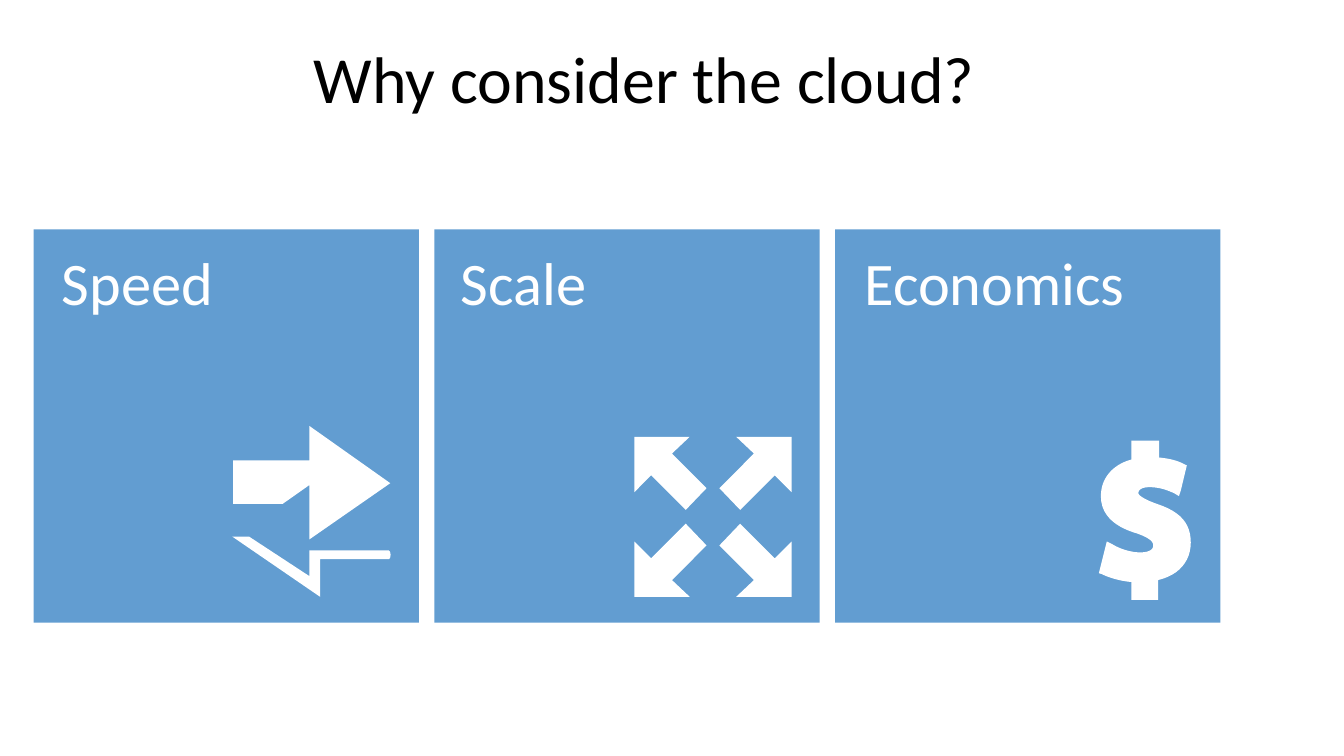
from itertools import product

from pptx import Presentation
from pptx.dml.color import RGBColor
from pptx.enum.shapes import MSO_SHAPE as Preset
from pptx.enum.text import MSO_ANCHOR as Anchor, MSO_AUTO_SIZE as AutoSize, PP_ALIGN as Align
from pptx.util import Inches, Pt

COLORS = {"tile": "629DD1", "white": "FFFFFF", "title": "000000"}
FONT = "Calibri"
CURVE_STEPS = 12

TILE_LEFT, TILE_TOP, TILE_WIDTH, TILE_HEIGHT = 0.34, 2.32, 3.9, 3.98
TILE_STEP = 8.11 / 2
LABELS = [("Speed", 1.82), ("Scale", 1.53), ("Economics", 2.95)]

RIGHT_ARROW = [
    (3.95, 4.89), (3.13, 4.31), (3.13, 4.66), (2.36, 4.66), (2.36, 5.1),
    (2.86, 5.1), (3.13, 4.91), (3.13, 5.46),
]
LEFT_ARROW = [
    (2.52, 5.43), (3.13, 5.83), (3.13, 5.57), (3.93, 5.57),
    (3.96, 5.57, 3.96, 5.66, 3.93, 5.66),
    (3.24, 5.66), (3.24, 6.04), (2.35, 5.43),
]
CORNER_ARROW = [
    (6.42, 4.42), (6.42, 4.98), (6.59, 4.81), (6.94, 5.16),
    (7.15, 4.94), (6.8, 4.59), (6.98, 4.42),
]
CORNER_SPAN_X, CORNER_SPAN_Y = 14.43, 10.46
DOLLAR = [
    (11.72, 6.07), (11.72, 5.87),
    (11.93, 5.82, 12.05, 5.68, 12.05, 5.49),
    (12.05, 5.3, 11.95, 5.18, 11.71, 5.1),
    (11.62, 5.07, 11.52, 5.02, 11.52, 4.99),
    (11.52, 4.94, 11.59, 4.93, 11.63, 4.93),
    (11.75, 4.93, 11.83, 4.97, 11.88, 4.99),
    (11.93, 5.02), (11.95, 4.96), (12.01, 4.71), (11.97, 4.69),
    (11.93, 4.67, 11.85, 4.64, 11.73, 4.63),
    (11.73, 4.46), (11.45, 4.46), (11.45, 4.65),
    (11.26, 4.7, 11.14, 4.84, 11.14, 5.02),
    (11.14, 5.25, 11.34, 5.35, 11.51, 5.4),
    (11.65, 5.45, 11.67, 5.49, 11.67, 5.52),
    (11.67, 5.57, 11.61, 5.59, 11.54, 5.59),
    (11.42, 5.59, 11.31, 5.54, 11.26, 5.51),
    (11.2, 5.48), (11.12, 5.8), (11.15, 5.81),
    (11.23, 5.85, 11.34, 5.88, 11.45, 5.89),
    (11.45, 6.07),
]


def flatten(outline):
    """Turn corners and cubic curves into a list of points in inches."""
    points = []
    for step in outline:
        if len(step) == 2:
            points.append(step)
            continue
        start, first, second, end = points[-1], step[:2], step[2:4], step[4:]
        for index in range(1, CURVE_STEPS + 1):
            t = index / CURVE_STEPS
            u = 1 - t
            points.append(tuple(
                u**3 * a + 3 * u * u * t * b + 3 * u * t * t * c + t**3 * d
                for a, b, c, d in zip(start, first, second, end)
            ))
    return points


class SlideBuilder:
    """Hold the style and the current slide, and add styled elements."""

    def __init__(self, deck):
        """Add a title-only slide to the deck."""
        self.page = deck.slides.add_slide(deck.slide_layouts[5])

    def place(self, shape, left, top, width, height):
        """Set the position and size of a shape in inches."""
        shape.left, shape.top = Inches(left), Inches(top)
        shape.width, shape.height = Inches(width), Inches(height)

    def set_text(self, box, text, size, color):
        """Fill a box with one centred line of text."""
        box.text_frame.text = text
        para = box.text_frame.paragraphs[0]
        para.alignment = Align.CENTER
        font = para.runs[0].font
        font.name, font.size = FONT, Pt(size)
        font.color.rgb = RGBColor.from_string(COLORS[color])

    def paint(self, shape, color):
        """Give a shape a flat fill without line or shadow."""
        shape.shadow.inherit = False
        shape.fill.solid()
        shape.fill.fore_color.rgb = RGBColor.from_string(COLORS[color])
        shape.line.fill.background()

    def title(self, text):
        """Fill and place the title placeholder."""
        box = self.page.shapes.title
        self.place(box, 0.3, 0.32, 12.44, 0.93)
        self.set_text(box, text, 48, "title")
        frame = box.text_frame
        frame.vertical_anchor = Anchor.MIDDLE
        frame.margin_left = frame.margin_right = Inches(0.12)
        frame.margin_top = frame.margin_bottom = Inches(0.06)

    def tile(self, left, label, label_width):
        """Add a coloured tile with its label."""
        tile = self.page.shapes.add_shape(
            Preset.RECTANGLE, Inches(left), Inches(TILE_TOP),
            Inches(TILE_WIDTH), Inches(TILE_HEIGHT))
        self.paint(tile, "tile")
        box = self.page.shapes.add_textbox(
            Inches(left + 0.14), Inches(TILE_TOP + 0.11),
            Inches(label_width), Inches(0.84))
        box.text_frame.word_wrap = False
        box.text_frame.auto_size = AutoSize.SHAPE_TO_FIT_TEXT
        self.set_text(box, label, 44, "white")

    def icon(self, *outlines):
        """Add a white freeform made of one or more closed outlines."""
        builder = None
        for outline in outlines:
            start, *rest = [(Inches(x), Inches(y)) for x, y in flatten(outline)]
            if builder is None:
                builder = self.page.shapes.build_freeform(*start)
            else:
                builder.move_to(*start)
            builder.add_line_segments(rest, close=True)
        self.paint(builder.convert_to_shape(), "white")


def main():
    """Build the slide and save the deck."""
    deck = Presentation()
    deck.slide_width, deck.slide_height = Inches(13.6), Inches(7.65)
    slide = SlideBuilder(deck)
    slide.title("Why consider the cloud?")
    for index, (label, label_width) in enumerate(LABELS):
        slide.tile(TILE_LEFT + index * TILE_STEP, label, label_width)
    slide.icon(RIGHT_ARROW, LEFT_ARROW)
    for flip_y, flip_x in product((False, True), repeat=2):
        slide.icon([
            (CORNER_SPAN_X - x if flip_x else x, CORNER_SPAN_Y - y if flip_y else y)
            for x, y in CORNER_ARROW
        ])
    slide.icon(DOLLAR)
    deck.save("out.pptx")


if __name__ == "__main__":
    main()
